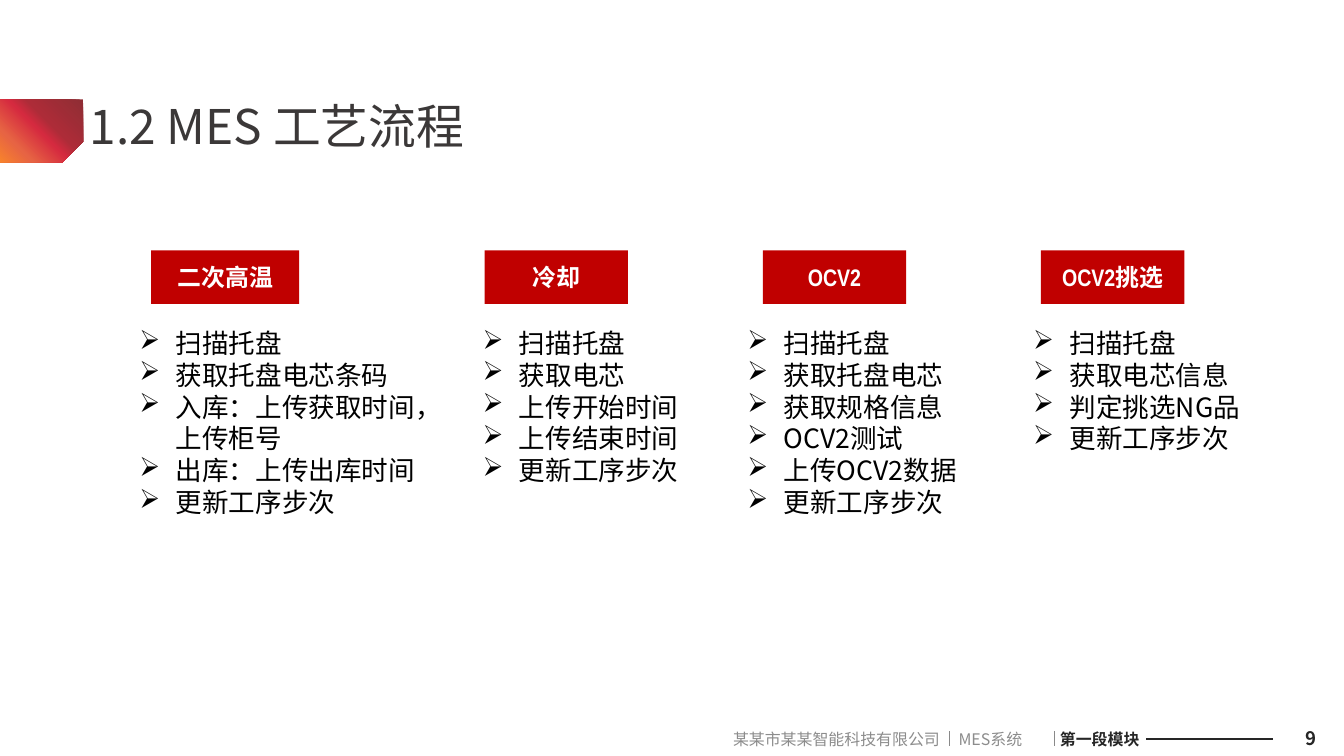
from lxml.etree import SubElement
from pptx import Presentation
from pptx.dml.color import RGBColor
from pptx.enum.shapes import MSO_CONNECTOR, MSO_SHAPE
from pptx.enum.text import MSO_ANCHOR, MSO_AUTO_SIZE, PP_ALIGN
from pptx.oxml import parse_xml
from pptx.oxml.ns import nsdecls, qn
from pptx.util import Inches, Pt

SANS = "Noto Sans CJK SC"
NARROW = "Arial Narrow"
RED, WHITE, BLACK, DARK = "C00000", "FFFFFF", "000000", "262626"
GREY, RULE_GREY, TITLE_GREY = "8C8C8C", "898989", "3B3838"
GRADIENT = [(0, "F8832C"), (23, "E76443"), (49, "D52A3F"), (61, "AD2C38"), (100, "8F2D34")]

STEPS = [
    ("二次高温", (1.58, 1.55), (1.36, 3.22),
     ["扫描托盘", "获取托盘电芯条码", "入库：上传获取时间，上传柜号", "出库：上传出库时间", "更新工序步次"]),
    ("冷却", (5.07, 1.5), (4.95, 2.42),
     ["扫描托盘", "获取电芯", "上传开始时间", "上传结束时间", "更新工序步次"]),
    ("OCV2", (7.98, 1.5), (7.72, 2.57),
     ["扫描托盘", "获取托盘电芯", "获取规格信息", "OCV2测试", "上传OCV2数据", "更新工序步次"]),
    ("OCV2挑选", (10.89, 1.5), (10.71, 2.58),
     ["扫描托盘", "获取电芯信息", "判定挑选NG品", "更新工序步次"]),
]
FOOTER_PARTS = [
    ("某某市某某智能科技有限公司", 7.57, 2.36, GREY, False),
    ("MES系统", 9.93, 1.1, GREY, False),
    ("第一段模块", 10.99, 1.1, DARK, True),
]


def colour(value):
    return RGBColor.from_string(value)


def assign(target, values):
    for name, value in values.items():
        setattr(target, name, value)


def place(item, left, top, width, height):
    assign(item, {"left": Inches(left), "top": Inches(top),
                  "width": Inches(width), "height": Inches(height)})


def write(frame, lines, size, ink, bold=False, font=SANS, align=PP_ALIGN.LEFT,
          anchor=MSO_ANCHOR.MIDDLE, wrap=True):
    assign(frame, {"word_wrap": wrap, "auto_size": MSO_AUTO_SIZE.NONE, "vertical_anchor": anchor})
    for index, line in enumerate(lines):
        paragraph = frame.add_paragraph() if index else frame.paragraphs[0]
        paragraph.alignment = align
        run = paragraph.add_run()
        run.text = line
        assign(run.font, {"size": Pt(size), "bold": bold, "name": font})
        run.font.color.rgb = colour(ink)
        SubElement(run.font._element, qn("a:ea"), typeface=SANS)


def add_label(slide, box, text, size, ink, bold=False, **layout):
    label = slide.shapes.add_textbox(*map(Inches, box))
    write(label.text_frame, [text], size, ink, bold, **layout)


def add_rule(slide, start, end, ink, weight):
    rule = slide.shapes.add_connector(MSO_CONNECTOR.STRAIGHT, *map(Inches, start + end))
    rule.line.color.rgb = colour(ink)
    rule.line.width = Pt(weight)
    SubElement(rule._element.spPr, qn("a:effectLst"))


def add_heading(slide, left, top, text):
    tab = slide.shapes.add_shape(MSO_SHAPE.SNIP_1_RECTANGLE, *map(Inches, (left, top, 0.87, 0.66)))
    tab.adjustments[0] = 0.33
    tab.rotation = 180
    tab.shadow.inherit = False
    tab.line.fill.background()
    properties = tab._element.spPr
    properties.xfrm.set("flipH", "1")
    stops = "".join(f'<a:gs pos="{position * 1000}"><a:srgbClr val="{value}"/></a:gs>'
                    for position, value in GRADIENT)
    properties.find(qn("a:prstGeom")).addnext(parse_xml(
        f'<a:gradFill {nsdecls("a")}><a:gsLst>{stops}</a:gsLst><a:path path="circle">'
        '<a:fillToRect t="100000" r="100000"/></a:path></a:gradFill>'))
    title = slide.shapes.title
    place(title, left + 0.84, top - 0.08, 7.6, 0.71)
    write(title.text_frame, [text], 36, TITLE_GREY)


def add_bullet(paragraph):
    paragraph.line_spacing = Pt(24)
    properties = paragraph._element.get_or_add_pPr()
    properties.set("marL", str(Inches(0.38)))
    properties.set("indent", str(Inches(-0.38)))
    SubElement(properties, qn("a:buChar"), char="➢")


def add_step(slide, top, name, header_span, list_span, tasks):
    header_left, header_width = header_span
    header = slide.shapes.add_shape(
        MSO_SHAPE.RECTANGLE, *map(Inches, (header_left, top, header_width, 0.56)))
    header.shadow.inherit = False
    header.fill.solid()
    header.fill.fore_color.rgb = colour(RED)
    header.line.fill.background()
    write(header.text_frame, [name], 18, WHITE, True, NARROW, PP_ALIGN.CENTER)

    list_left, list_width = list_span
    task_list = slide.shapes.add_textbox(
        *map(Inches, (list_left, top + 0.75, list_width, 2.12)))
    write(task_list.text_frame, tasks, 20, BLACK, anchor=MSO_ANCHOR.TOP)
    for paragraph in task_list.text_frame.paragraphs:
        add_bullet(paragraph)


def add_footer(slide, top, page):
    for text, left, width, ink, bold in FOOTER_PARTS:
        add_label(slide, (left, top, width, 0.3), text, 12, ink, bold, wrap=False)
    for divider in (9.93, 11.03):
        add_rule(slide, (divider, top + 0.07), (divider, top + 0.23), RULE_GREY, 1)
    add_rule(slide, (11.99, top + 0.15), (13.32, top + 0.15), DARK, 1.5)
    add_label(slide, (10.71, top - 0.07, 3.16, 0.42), page, 14, DARK, True, align=PP_ALIGN.RIGHT)


def main():
    deck = Presentation()
    assign(deck, {"slide_width": Inches(14.06), "slide_height": Inches(7.91)})
    slide = deck.slides.add_slide(deck.slide_layouts[5])
    add_heading(slide, 0, 1.04, "1.2 MES 工艺流程")
    for step in STEPS:
        add_step(slide, 2.62, *step)
    add_footer(slide, 7.58, "9")
    deck.save("out.pptx")


if __name__ == "__main__":
    main()
